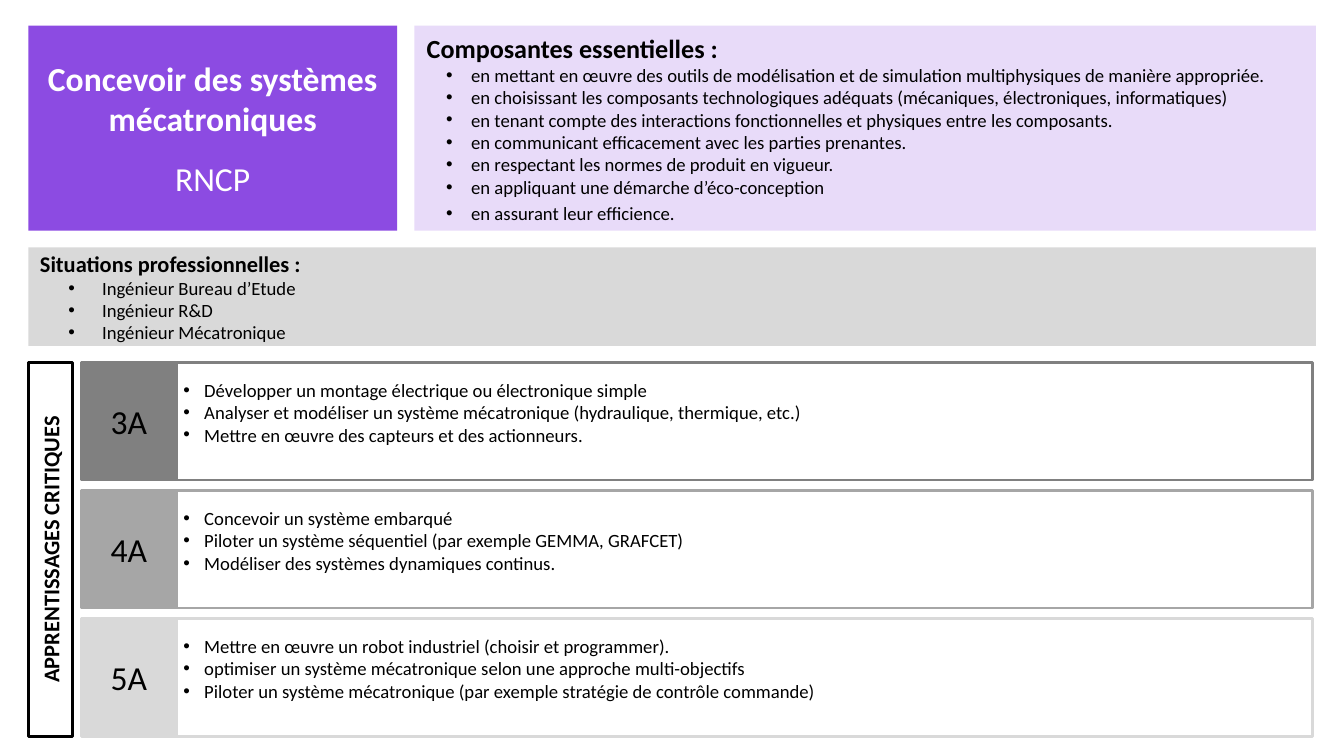
import lxml.etree
import pptx
import pptx.dml.color
import pptx.enum.shapes
import pptx.enum.text
import pptx.oxml.ns
import pptx.util

Cm = pptx.util.Cm
Pt = pptx.util.Pt
RGBColor = pptx.dml.color.RGBColor
PP_ALIGN = pptx.enum.text.PP_ALIGN
qn = pptx.oxml.ns.qn

BLACK = RGBColor(0x00, 0x00, 0x00)
WHITE = RGBColor(0xFF, 0xFF, 0xFF)
PURPLE = RGBColor(0x8C, 0x4B, 0xE2)
DARK_GREY = RGBColor(0x80, 0x80, 0x80)
MID_GREY = RGBColor(0xA6, 0xA6, 0xA6)
LIGHT_GREY = RGBColor(0xD9, 0xD9, 0xD9)

LEFT, RIGHT = 1.07, 49.74
HEADER_TOP, HEADER_HEIGHT = 0.97, 7.75
TITLE_WIDTH, ESSENTIALS_LEFT = 13.94, 15.66
YEARS_TOP, YEAR_HEIGHT, YEAR_PITCH = 13.7, 4.45, 4.84
TAG_LEFT, TAG_WIDTH = 3.07, 3.61
SKILLS_LEFT, SKILLS_WIDTH = 6.68, 42.92
BANNER_LENGTH, BANNER_THICKNESS = 14.14, 1.68

ESSENTIALS = [
    "en mettant en œuvre des outils de modélisation et de simulation multiphysiques de manière appropriée.",
    "en choisissant les composants technologiques adéquats (mécaniques, électroniques, informatiques)",
    "en tenant compte des interactions fonctionnelles et physiques entre les composants.",
    "en communicant efficacement avec les parties prenantes.",
    "en respectant les normes de produit en vigueur.",
    "en appliquant une démarche d’éco-conception",
]
SITUATIONS = ["Ingénieur Bureau d’Etude", "Ingénieur R&D", "Ingénieur Mécatronique"]
YEARS = [
    ("3A", DARK_GREY, [
        "Développer un montage électrique ou électronique simple",
        "Analyser et modéliser un système mécatronique (hydraulique, thermique, etc.)",
        "Mettre en œuvre des capteurs et des actionneurs.",
    ]),
    ("4A", MID_GREY, [
        "Concevoir un système embarqué",
        "Piloter un système séquentiel (par exemple GEMMA, GRAFCET)",
        "Modéliser des systèmes dynamiques continus.",
    ]),
    ("5A", LIGHT_GREY, [
        "Mettre en œuvre un robot industriel (choisir et programmer).",
        "optimiser un système mécatronique selon une approche multi-objectifs",
        "Piloter un système mécatronique (par exemple stratégie de contrôle commande)",
    ]),
]


def write(frame, text, size=20, bold=False, color=BLACK, align=PP_ALIGN.LEFT,
          level=0, margin=0, hanging=0, spacing=None, before=0):
    first = frame.paragraphs[0]
    paragraph = frame.add_paragraph() if first.runs else first
    paragraph.alignment = align
    paragraph.level = level
    paragraph.space_before = Pt(before)
    if spacing:
        paragraph.line_spacing = spacing
    properties = paragraph._p.get_or_add_pPr()
    properties.set("marL", str(Cm(margin)))
    properties.set("indent", str(-Cm(hanging)))
    if hanging:
        lxml.etree.SubElement(properties, qn("a:buFont")).set("typeface", "Arial")
        lxml.etree.SubElement(properties, qn("a:buChar")).set("char", "•")
    run = paragraph.add_run()
    run.text = text
    run.font.name = "Calibri"
    run.font.size = Pt(size)
    run.font.bold = bold
    run.font.color.rgb = color


class Sheet:
    def __init__(self, slide):
        self.slide = slide

    def block(self, left, top, width, height, fill, border=None, border_width=3, opacity=100):
        shape = self.slide.shapes.add_shape(
            pptx.enum.shapes.MSO_SHAPE.RECTANGLE, Cm(left), Cm(top), Cm(width), Cm(height))
        shape.shadow.inherit = False
        shape.fill.solid()
        shape.fill.fore_color.rgb = fill
        if opacity < 100:
            tint = shape._element.spPr.find(qn("a:solidFill"))[0]
            lxml.etree.SubElement(tint, qn("a:alpha")).set("val", str(opacity * 1000))
        if border is None:
            shape.line.fill.background()
        else:
            shape.line.color.rgb = border
            shape.line.width = Pt(border_width)
        shape.text_frame.word_wrap = True
        shape.text_frame.vertical_anchor = pptx.enum.text.MSO_ANCHOR.MIDDLE
        return shape

    def bullets(self, frame, items, **style):
        for item in items:
            write(frame, item, **style)

    def banner(self, text, center_x, center_y):
        shape = self.block(center_x - BANNER_LENGTH / 2, center_y - BANNER_THICKNESS / 2,
                           BANNER_LENGTH, BANNER_THICKNESS, WHITE, BLACK, 3.75)
        shape.rotation = 270
        write(shape.text_frame, text, size=24, bold=True, align=PP_ALIGN.CENTER)

    def year(self, top, label, color, skills):
        frame = self.block(SKILLS_LEFT, top, SKILLS_WIDTH, YEAR_HEIGHT, WHITE, color).text_frame
        frame.margin_bottom = Cm(0.81)
        self.bullets(frame, skills, margin=0.79, hanging=0.79)
        tag = self.block(TAG_LEFT, top, TAG_WIDTH, YEAR_HEIGHT, color, color)
        write(tag.text_frame, label, size=36, align=PP_ALIGN.CENTER)


def main():
    deck = pptx.Presentation()
    deck.slide_width = Cm(50.8)
    deck.slide_height = Cm(28.58)
    sheet = Sheet(deck.slides.add_slide(deck.slide_layouts[6]))

    title = sheet.block(LEFT, HEADER_TOP, TITLE_WIDTH, HEADER_HEIGHT, PURPLE).text_frame
    write(title, "Concevoir des systèmes mécatroniques", size=36, bold=True,
          color=WHITE, align=PP_ALIGN.CENTER)
    write(title, "RNCP", size=36, color=WHITE, align=PP_ALIGN.CENTER, spacing=1.5)

    essentials = sheet.block(ESSENTIALS_LEFT, HEADER_TOP, RIGHT - ESSENTIALS_LEFT,
                             HEADER_HEIGHT, PURPLE, opacity=20).text_frame
    write(essentials, "Composantes essentielles :", size=28, bold=True, margin=0.22)
    nested = {"level": 1, "margin": 1.9, "hanging": 0.95}
    sheet.bullets(essentials, ESSENTIALS, **nested)
    write(essentials, "en assurant leur efficience.", before=4, **nested)

    situations = sheet.block(LEFT, 9.35, RIGHT - LEFT, 3.73, LIGHT_GREY).text_frame
    write(situations, "Situations professionnelles :", size=24, bold=True, margin=0.19)
    sheet.bullets(situations, SITUATIONS, level=1, margin=2.54, hanging=1.27)

    for index, (label, color, skills) in enumerate(YEARS):
        sheet.year(YEARS_TOP + index * YEAR_PITCH, label, color, skills)
    sheet.banner("APPRENTISSAGES CRITIQUES", LEFT + BANNER_THICKNESS / 2,
                 YEARS_TOP + BANNER_LENGTH / 2)

    deck.save("out.pptx")


if __name__ == "__main__":
    main()
